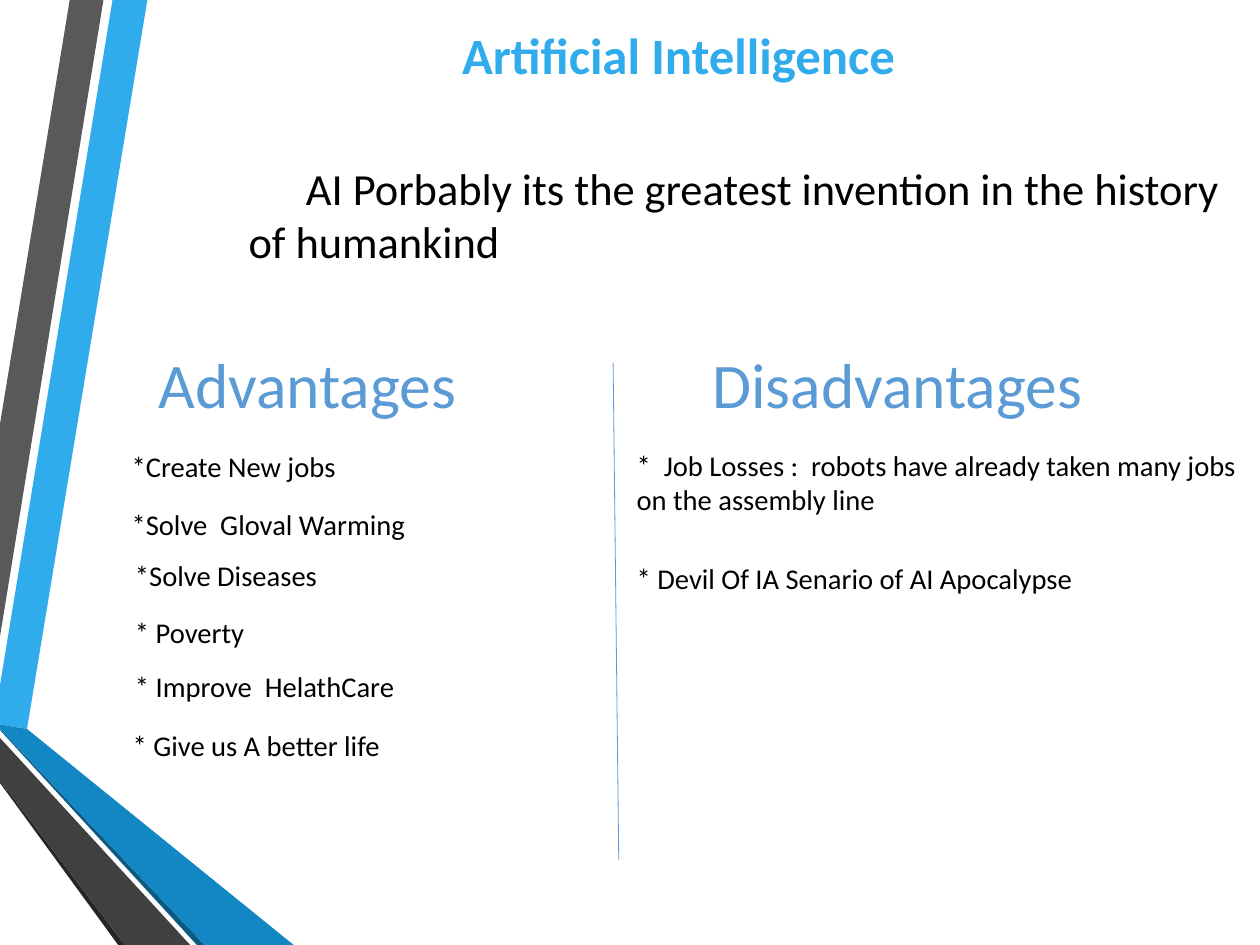
import pptx
import pptx.util
import pptx.dml.color
import pptx.enum.shapes
import pptx.enum.text
import pptx.oxml

PX = 9000
RGBColor = pptx.dml.color.RGBColor
SKY = RGBColor(0x30, 0xAC, 0xEC)
OCEAN = RGBColor(0x12, 0x87, 0xC3)
DEEP_BLUE = RGBColor(0x0C, 0x5A, 0x82)
GRAY = RGBColor(0x59, 0x59, 0x59)
DARK_GRAY = RGBColor(0x40, 0x40, 0x40)
CHARCOAL = RGBColor(0x26, 0x26, 0x26)
HEADING_BLUE = RGBColor(0x5B, 0x9B, 0xD5)
BLACK = RGBColor(0, 0, 0)
LEFT = pptx.enum.text.PP_ALIGN.LEFT
CENTER = pptx.enum.text.PP_ALIGN.CENTER

presentation = pptx.Presentation()
presentation.slide_width = 1120 * PX
presentation.slide_height = 840 * PX
slide = presentation.slides.add_slide(presentation.slide_layouts[6])


def add_text(left, top, width, height, lines, size, color, align=LEFT, bold=False):
    box = slide.shapes.add_textbox(left * PX, top * PX, width * PX, height * PX)
    frame = box.text_frame
    frame.word_wrap = True
    frame.text = "\n".join(lines)
    for paragraph in frame.paragraphs:
        paragraph.alignment = align
        paragraph.font.name = "Calibri"
        paragraph.font.size = pptx.util.Pt(size)
        paragraph.font.bold = bold
        paragraph.font.color.rgb = color
    return box


ribbons = [
    (SKY, [(0, 609), (0, 644), (24, 648), (131, 0), (100, 0)]),
    (GRAY, [(92, 0), (62, 0), (0, 377), (0, 566)]),
    (CHARCOAL, [(0, 694), (0, 696), (105, 840), (111, 840)]),
    (DEEP_BLUE, [(0, 648), (0, 649), (175, 840), (182, 840)]),
    (OCEAN, [(0, 648), (182, 840), (261, 840), (24, 648), (0, 644)]),
    (DARK_GRAY, [(0, 694), (111, 840), (169, 840), (0, 656)]),
]
for color, points in ribbons:
    builder = slide.shapes.build_freeform(*points[0], scale=PX)
    builder.add_line_segments(points[1:], close=True)
    ribbon = builder.convert_to_shape()
    ribbon.shadow.inherit = False
    ribbon.fill.solid()
    ribbon.fill.fore_color.rgb = color
    ribbon.line.fill.background()

add_text(368, 16, 471, 119, ["Artificial Intelligence"], 32, SKY, CENTER, True)

intro_lines = ["AI Porbably its the greatest invention in the history", "of humankind"]
intro = add_text(211, 138, 904, 106, intro_lines, 28, BLACK)
intro_properties = intro.text_frame.paragraphs[0]._p.get_or_add_pPr()
intro_properties.set("marL", "0")
intro_properties.set("indent", str(51 * PX))

add_text(131, 302, 374, 78, ["Advantages"], 40, HEADING_BLUE)
add_text(545, 302, 505, 78, ["Disadvantages"], 40, HEADING_BLUE, CENTER)

divider = slide.shapes.add_connector(
    pptx.enum.shapes.MSO_CONNECTOR.STRAIGHT, 545 * PX, 323 * PX, 550 * PX, 764 * PX)
divider.line.color.rgb = HEADING_BLUE
divider.line.width = pptx.util.Pt(0.5)
divider._element.spPr.append(pptx.oxml.parse_xml(
    '<a:effectLst xmlns:a="http://schemas.openxmlformats.org/drawingml/2006/main"/>'))

advantages = [
    (107, 394, "*Create New jobs"),
    (107, 446, "*Solve  Gloval Warming"),
    (110, 491, "*Solve Diseases"),
    (110, 542, "* Poverty"),
    (110, 590, "* Improve  HelathCare"),
    (108, 642, "* Give us A better life"),
]
for left, top, advantage in advantages:
    add_text(left, top, 266, 41, [advantage], 18, BLACK)

job_losses = ["*  Job Losses :  robots have already taken many jobs", "on the assembly line"]
add_text(556, 393, 560, 72, job_losses, 18, BLACK)
add_text(556, 494, 424, 41, ["* Devil Of IA Senario of AI Apocalypse"], 18, BLACK)

presentation.save("out.pptx")
